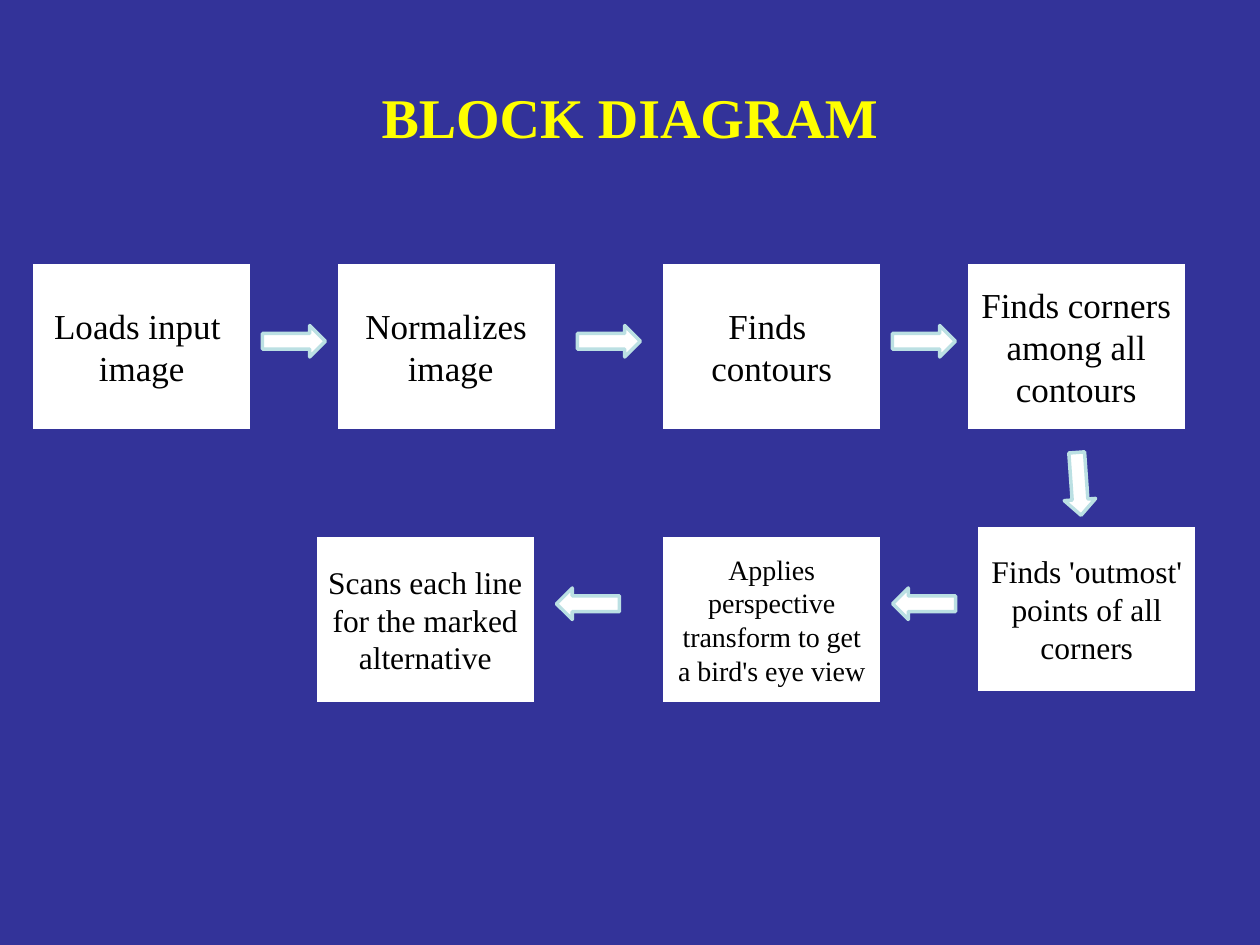
"""Builds a slide with a seven-step block diagram."""
import pptx
import pptx.util
import pptx.dml.color
import pptx.enum.shapes
import pptx.enum.text

Pt = pptx.util.Pt
KIND = pptx.enum.shapes.MSO_SHAPE
FONT = "Times New Roman"
HUES = {"back": "333399", "title": "FFFF00", "box": "FFFFFF", "edge": "BBE0E3", "text": "000000"}

TITLE = ["BLOCK DIAGRAM"]
BOX_W, BOX_H = 126, 96
STEPS = [
    (18, 150, 20, ["Loads input ", "image"]),
    (192, 150, 20, ["Normalizes", " image"]),
    (378, 150, 20, ["Finds ", "contours"]),
    (552, 150, 20, ["Finds corners among all contours"]),
    (558, 300, 18, ["Finds 'outmost' points of all corners"]),
    (378, 306, 16, ["Applies", " perspective ", "transform to get a bird's eye view"]),
    (180, 306, 18, ["Scans each line for the marked alternative"]),
]
ARROW_W, ARROW_H = 36, 18
ARROWS = [
    (150, 186, 0),
    (330, 186, 0),
    (510, 186, 0),
    (598.5, 267.5, 86),
    (510, 336, 180),
    (318, 336, 180),
]


def hue(name):
    return pptx.dml.color.RGBColor.from_string(HUES[name])


def write(shape, lines, size, color="text", bold=False):
    frame = shape.text_frame
    frame.word_wrap = True
    frame.vertical_anchor = pptx.enum.text.MSO_ANCHOR.MIDDLE
    for i, line in enumerate(lines):
        para = frame.add_paragraph() if i else frame.paragraphs[0]
        para.alignment = pptx.enum.text.PP_ALIGN.CENTER
        run = para.add_run()
        run.text = line
        run.font.name = FONT
        run.font.size = Pt(size)
        run.font.bold = bold
        run.font.color.rgb = hue(color)


def draw(slide, kind, left, top, width, height, edge):
    shape = slide.shapes.add_shape(kind, Pt(left), Pt(top), Pt(width), Pt(height))
    shape.shadow.inherit = False
    shape.fill.solid()
    shape.fill.fore_color.rgb = hue("box")
    shape.line.color.rgb = hue(edge)
    shape.line.width = Pt(2)
    return shape


def main():
    deck = pptx.Presentation()
    deck.slide_width, deck.slide_height = Pt(720), Pt(540)
    slide = deck.slides.add_slide(deck.slide_layouts[6])
    slide.background.fill.solid()
    slide.background.fill.fore_color.rgb = hue("back")

    title = slide.shapes.add_textbox(Pt(36), Pt(21.6), Pt(648), Pt(90))
    write(title, TITLE, 32, color="title", bold=True)

    for left, top, size, lines in STEPS:
        box = draw(slide, KIND.RECTANGLE, left, top, BOX_W, BOX_H, "back")
        write(box, lines, size)
    for left, top, turn in ARROWS:
        arrow = draw(slide, KIND.RIGHT_ARROW, left, top, ARROW_W, ARROW_H, "edge")
        arrow.rotation = turn

    deck.save("out.pptx")


if __name__ == "__main__":
    main()
